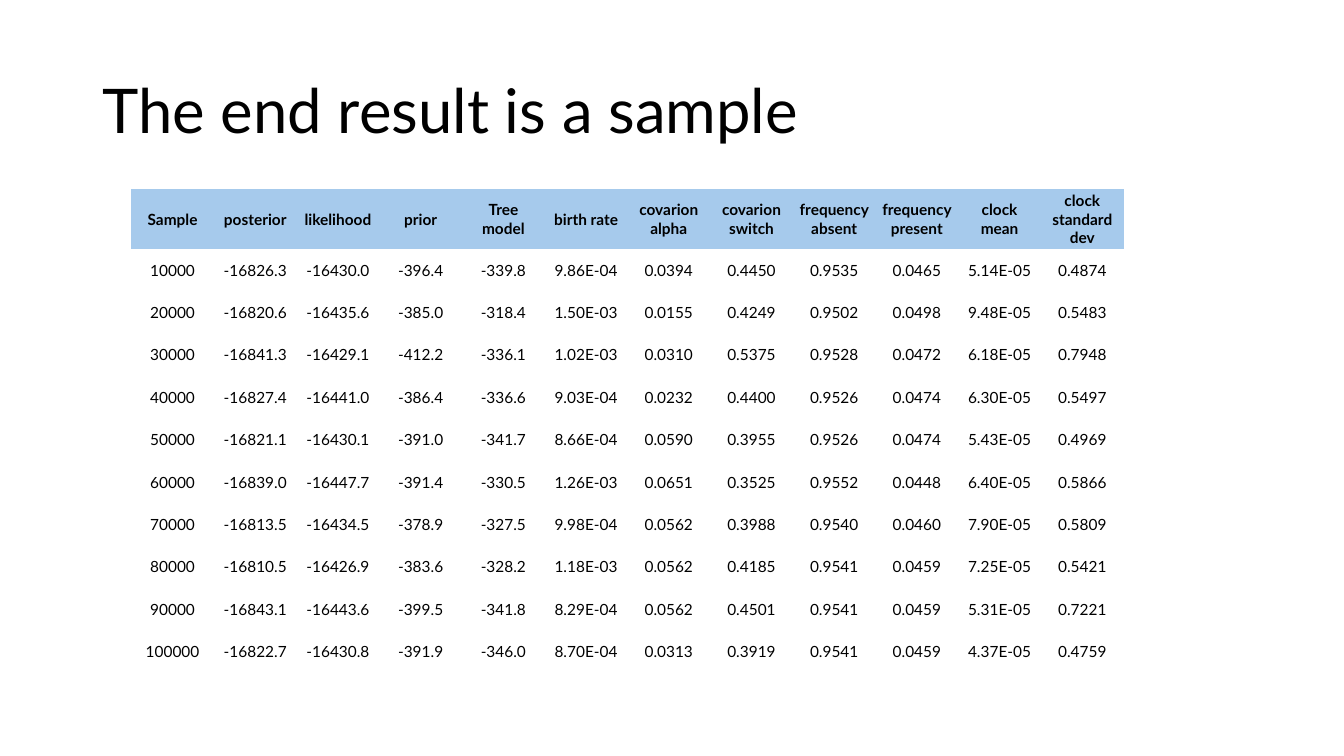
from pptx import Presentation
from pptx.dml.color import RGBColor
from pptx.enum.text import MSO_ANCHOR, PP_ALIGN
from pptx.oxml.ns import qn
from pptx.util import Pt

FONT = "Lato"
COLORS = {"text": "000000", "header": "A6CAEC"}
NO_STYLE_NO_GRID = "{2D5ABB26-0587-4C30-8999-92F81FD0307C}"
HEADER_HEIGHT = 39.6

HEADERS = ["Sample", "posterior", "likelihood", "prior", "Tree model", "birth rate",
           "covarion alpha", "covarion switch", "frequency absent",
           "frequency present", "clock mean", "clock standard dev"]
SAMPLES = [
    "10000 -16826.3 -16430.0 -396.4 -339.8 9.86E-04 0.0394 0.4450 0.9535 0.0465 5.14E-05 0.4874",
    "20000 -16820.6 -16435.6 -385.0 -318.4 1.50E-03 0.0155 0.4249 0.9502 0.0498 9.48E-05 0.5483",
    "30000 -16841.3 -16429.1 -412.2 -336.1 1.02E-03 0.0310 0.5375 0.9528 0.0472 6.18E-05 0.7948",
    "40000 -16827.4 -16441.0 -386.4 -336.6 9.03E-04 0.0232 0.4400 0.9526 0.0474 6.30E-05 0.5497",
    "50000 -16821.1 -16430.1 -391.0 -341.7 8.66E-04 0.0590 0.3955 0.9526 0.0474 5.43E-05 0.4969",
    "60000 -16839.0 -16447.7 -391.4 -330.5 1.26E-03 0.0651 0.3525 0.9552 0.0448 6.40E-05 0.5866",
    "70000 -16813.5 -16434.5 -378.9 -327.5 9.98E-04 0.0562 0.3988 0.9540 0.0460 7.90E-05 0.5809",
    "80000 -16810.5 -16426.9 -383.6 -328.2 1.18E-03 0.0562 0.4185 0.9541 0.0459 7.25E-05 0.5421",
    "90000 -16843.1 -16443.6 -399.5 -341.8 8.29E-04 0.0562 0.4501 0.9541 0.0459 5.31E-05 0.7221",
    "100000 -16822.7 -16430.8 -391.9 -346.0 8.70E-04 0.0313 0.3919 0.9541 0.0459 4.37E-05 0.4759",
]


def format_font(font, size, bold=False):
    font.name = FONT
    font.size = Pt(size)
    font.bold = bold
    font.color.rgb = RGBColor.from_string(COLORS["text"])


def add_title(s, text, x, y, w, h):
    tf = s.shapes.add_textbox(Pt(x), Pt(y), Pt(w), Pt(h)).text_frame
    tf.word_wrap = True
    tf.vertical_anchor = MSO_ANCHOR.MIDDLE
    tf.text = text
    p = tf.paragraphs[0]
    p.line_spacing = 0.9
    format_font(p.runs[0].font, 44)


def fill_cell(cell, text, is_header):
    cell.margin_left = cell.margin_right = Pt(3)
    cell.margin_top = cell.margin_bottom = Pt(1.5)
    cell.vertical_anchor = MSO_ANCHOR.MIDDLE
    if is_header:
        cell.fill.solid()
        cell.fill.fore_color.rgb = RGBColor.from_string(COLORS["header"])
    else:
        cell.fill.background()
    cell.text_frame.text = text
    p = cell.text_frame.paragraphs[0]
    p.alignment = PP_ALIGN.CENTER
    format_font(p.runs[0].font, 11, is_header)


def add_sample_table(s, rows, x, y, w, h):
    """Equal columns; the body rows share the height below the header."""
    frame = s.shapes.add_table(len(rows), len(rows[0]), Pt(x), Pt(y), Pt(w), Pt(h))
    table = frame.table
    table.first_row = table.horz_banding = False
    for style in frame.element.iter(qn("a:tableStyleId")):
        style.text = NO_STYLE_NO_GRID
    for column in table.columns:
        column.width = Pt(w / len(rows[0]))
    body_height = (h - HEADER_HEIGHT) / (len(rows) - 1)
    for i, values in enumerate(rows):
        table.rows[i].height = Pt(body_height if i else HEADER_HEIGHT)
        for j, value in enumerate(values):
            fill_cell(table.cell(i, j), value, i == 0)


def main():
    prs = Presentation()
    prs.slide_width, prs.slide_height = Pt(960), Pt(540)
    s = prs.slides.add_slide(prs.slide_layouts[6])
    add_title(s, "The end result is a sample", 66, 28.75, 828, 104.4)
    rows = [HEADERS] + [sample.split() for sample in SAMPLES]
    add_sample_table(s, rows, 93.75, 135.25, 709.2, 342.6)
    prs.save("out.pptx")


if __name__ == "__main__":
    main()
